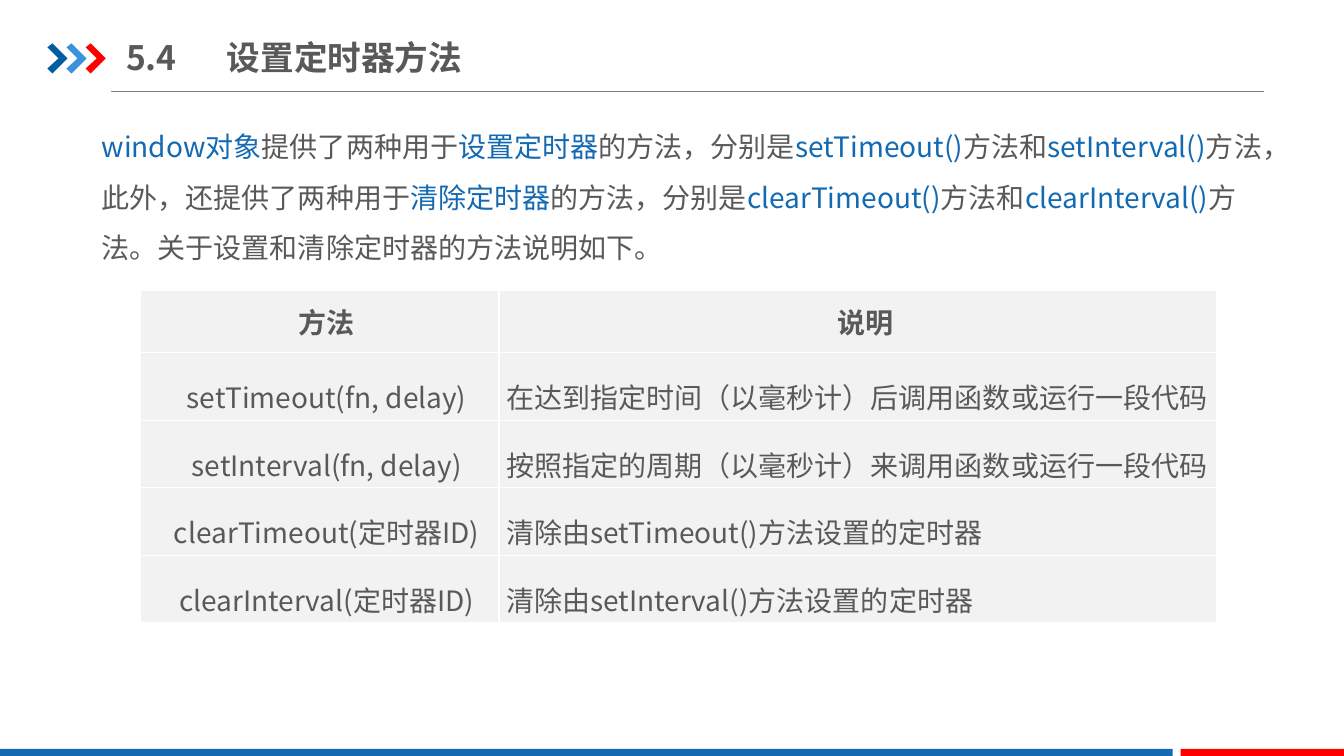
from dataclasses import dataclass

from lxml import etree
from pptx import Presentation
from pptx import util as u
from pptx.dml import color
from pptx.enum import shapes, text
from pptx.oxml import ns

FONT = "Noto Sans CJK SC"
HUES = {
    "blue": "1369B2", "navy": "005DA2", "sky": "3992DB", "red": "FF0000",
    "ink": "595959", "rule": "808080", "pale": "F2F2F2", "white": "FFFFFF",
}


@dataclass
class Bar:
    left: float
    width: float
    hue: str


@dataclass
class Mark:
    left: float
    hue: str


@dataclass
class Part:
    words: str
    hue: str = "ink"


@dataclass
class Row:
    name: str
    note: str
    high: float = 0.67
    head: bool = False


BARS = [Bar(0, 11.63, "blue"), Bar(11.71, 1.62, "red")]
MARKS = [Mark(0.47 + 0.19 * i, hue) for i, hue in enumerate(("navy", "sky", "red"))]
EDGE = [(0, 0.04), (0.05, 0), (0.2, 0.15), (0.05, 0.3), (0, 0.25), (0.11, 0.15)]
INTRO = [
    Part("window对象", "blue"), Part("提供了两种用于"),
    Part("设置定时器", "blue"), Part("的方法，分别是"),
    Part("setTimeout()", "blue"), Part("方法和"),
    Part("setInterval()", "blue"), Part("方法，此外，还提供了两种用于"),
    Part("清除定时器", "blue"), Part("的方法，分别是"),
    Part("clearTimeout()", "blue"), Part("方法和"),
    Part("clearInterval()", "blue"),
    Part("方法。关于设置和清除定时器的方法说明如下。"),
]
ROWS = [
    Row("方法", "说明", 0.62, True),
    Row("setTimeout(fn, delay)", "在达到指定时间（以毫秒计）后调用函数或运行一段代码"),
    Row("setInterval(fn, delay)", "按照指定的周期（以毫秒计）来调用函数或运行一段代码"),
    Row("clearTimeout(定时器ID)", "清除由setTimeout()方法设置的定时器"),
    Row("clearInterval(定时器ID)", "清除由setInterval()方法设置的定时器"),
]


def rgb(hue: str) -> color.RGBColor:
    return color.RGBColor.from_string(HUES[hue])


def style(run, size: float, hue: str = "ink", bold: bool = False) -> None:
    font = run.font
    font.size, font.bold, font.name = u.Pt(size), bold, FONT
    font.color.rgb = rgb(hue)
    latin = run._r.rPr.find(ns.qn("a:latin"))
    east = etree.Element(ns.qn("a:ea"), typeface=FONT)
    latin.addnext(east)


def paint(shape, hue: str) -> None:
    shape.shadow.inherit = False
    shape.fill.solid()
    shape.fill.fore_color.rgb = rgb(hue)
    shape.line.fill.background()


def draw_bar(slide, bar: Bar) -> None:
    shape = slide.shapes.add_shape(
        shapes.MSO_SHAPE.RECTANGLE, u.Inches(bar.left), u.Inches(7.43),
        u.Inches(bar.width), u.Inches(0.09))
    paint(shape, bar.hue)


def draw_mark(slide, mark: Mark) -> None:
    dots = [(u.Inches(mark.left + x), u.Inches(0.43 + y)) for x, y in EDGE]
    form = slide.shapes.build_freeform(*dots[0])
    form.add_line_segments(dots[1:], close=True)
    paint(form.convert_to_shape(), mark.hue)


def draw_rule(slide) -> None:
    line = slide.shapes.add_connector(
        shapes.MSO_CONNECTOR.STRAIGHT, u.Inches(1.1), u.Inches(0.91),
        u.Inches(12.54), u.Inches(0.91))
    line.line.color.rgb = rgb("rule")
    line.line.width = u.Pt(0.75)
    etree.SubElement(line._element.spPr, ns.qn("a:effectLst"))


def draw_title(slide) -> None:
    box = slide.shapes.add_textbox(
        u.Inches(1.25), u.Inches(0.29), u.Inches(3.45), u.Inches(0.55))
    frame = box.text_frame
    frame.word_wrap = True
    frame.vertical_anchor = text.MSO_ANCHOR.MIDDLE
    frame.margin_left = frame.margin_right = 0
    frame.margin_top = frame.margin_bottom = u.Inches(0.07)
    para = frame.paragraphs[0]
    para.text = "5.4\t设置定时器方法"
    stops = etree.SubElement(para._p.get_or_add_pPr(), ns.qn("a:tabLst"))
    etree.SubElement(stops, ns.qn("a:tab"), pos=str(u.Inches(1)), algn="l")
    style(para.runs[0], 24, bold=True)


def draw_intro(slide) -> None:
    box = slide.shapes.add_textbox(
        u.Inches(0.91), u.Inches(1.07), u.Inches(11.73), u.Inches(1.62))
    box.text_frame.word_wrap = True
    para = box.text_frame.paragraphs[0]
    para.line_spacing = 1.5
    for part in INTRO:
        run = para.add_run()
        run.text = part.words
        style(run, 20, part.hue)


def edge_cell(cell) -> None:
    props = cell._tc.get_or_add_tcPr()
    for i, side in enumerate(("lnL", "lnR", "lnT", "lnB")):
        line = etree.Element(ns.qn(f"a:{side}"), w=str(u.Pt(1)))
        fill = etree.SubElement(line, ns.qn("a:solidFill"))
        etree.SubElement(fill, ns.qn("a:srgbClr"), val=HUES["white"])
        props.insert(i, line)


def fill_cell(cell, words: str, head: bool, mid: bool) -> None:
    cell.fill.solid()
    cell.fill.fore_color.rgb = rgb("pale")
    edge_cell(cell)
    cell.vertical_anchor = text.MSO_ANCHOR.MIDDLE
    cell.margin_left = cell.margin_right = u.Inches(0.07)
    cell.margin_top = cell.margin_bottom = 0
    para = cell.text_frame.paragraphs[0]
    para.text = words
    if mid:
        para.alignment = text.PP_ALIGN.CENTER
        props = para._p.get_or_add_pPr()
        props.set("marL", "0")
        props.set("indent", str(u.Inches(0.14)))
    if not head:
        para.line_spacing = 1.5
    style(para.runs[0], 20, bold=head)


def draw_table(slide) -> None:
    table = slide.shapes.add_table(
        len(ROWS), 2, u.Inches(1.39), u.Inches(2.88), u.Inches(10.68),
        u.Inches(sum(row.high for row in ROWS))).table
    table.columns[0].width = u.Inches(3.56)
    table.columns[1].width = u.Inches(7.12)
    for i, row in enumerate(ROWS):
        table.rows[i].height = u.Inches(row.high)
        fill_cell(table.cell(i, 0), row.name, row.head, True)
        fill_cell(table.cell(i, 1), row.note, row.head, row.head)


def main() -> None:
    deck = Presentation()
    deck.slide_width, deck.slide_height = u.Inches(13.33), u.Inches(7.5)
    slide = deck.slides.add_slide(deck.slide_layouts[6])
    # Header and footer
    draw_rule(slide)
    for mark in MARKS:
        draw_mark(slide, mark)
    for bar in BARS:
        draw_bar(slide, bar)
    # Content
    draw_intro(slide)
    draw_title(slide)
    draw_table(slide)
    deck.save("out.pptx")


if __name__ == "__main__":
    main()
